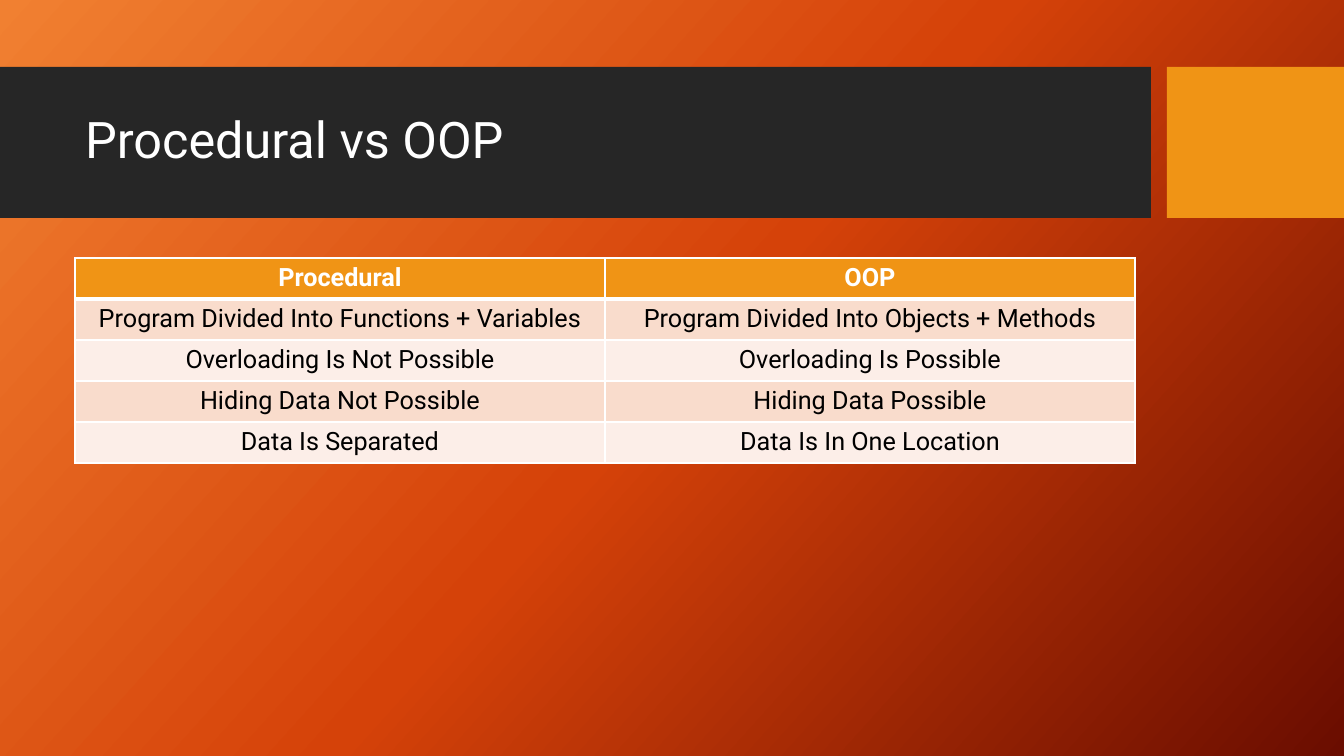
from copy import deepcopy
from typing import NamedTuple

from lxml.etree import SubElement
from pptx import Presentation
from pptx.dml.color import RGBColor
from pptx.enum.shapes import MSO_SHAPE
from pptx.enum.text import MSO_ANCHOR, PP_ALIGN
from pptx.oxml.ns import qn
from pptx.util import Pt

SCALE = 12192000 / 1344  # EMU per px
FONT = "Roboto"
HEX = {
    "white": "FFFFFF", "black": "000000", "dark": "262626", "amber": "F09415",
    "peach": "F9DCCC", "pale": "FCEEE8",
    "glow": "F18031", "flame": "D54209", "ember": "6A0D00",
}


class Bar(NamedTuple):
    left: int
    width: int
    color: str


BARS = [Bar(0, 1151, "dark"), Bar(1167, 177, "amber")]
STOPS = [(0, "glow"), (0.5, "flame"), (1, "ember")]
ROWS = [
    ("Procedural", "OOP"),
    ("Program Divided Into Functions + Variables", "Program Divided Into Objects + Methods"),
    ("Overloading Is Not Possible", "Overloading Is Possible"),
    ("Hiding Data Not Possible", "Hiding Data Possible"),
    ("Data Is Separated", "Data Is In One Location"),
]


def px(*sizes: int) -> list[int]:
    return [round(size * SCALE) for size in sizes]


def rgb(name: str) -> RGBColor:
    return RGBColor.from_string(HEX[name])


def style(para, size: int, color: str, align: PP_ALIGN, bold: bool = False) -> None:
    para.alignment = align
    for run in para.runs:
        font = run.font
        font.name, font.size, font.bold = FONT, Pt(size), bold
        font.color.rgb = rgb(color)


def draw_back(slide) -> None:
    fill = slide.background.fill
    fill.gradient()
    fill.gradient_angle = 360 - 42
    stops = slide.element.find(".//" + qn("a:gsLst"))
    stops.append(deepcopy(stops[0]))
    for stop, (pos, color) in zip(fill.gradient_stops, STOPS):
        stop.position = pos
        stop.color.rgb = rgb(color)


def draw_bar(slide, bar: Bar) -> None:
    shape = slide.shapes.add_shape(MSO_SHAPE.RECTANGLE, *px(bar.left, 67, bar.width, 151))
    shape.shadow.inherit = False
    shape.fill.solid()
    shape.fill.fore_color.rgb = rgb(bar.color)
    shape.line.fill.background()


def draw_title(slide, text: str) -> None:
    title = slide.shapes.title
    title.left, title.top, title.width, title.height = px(75, 83, 1059, 119)
    frame = title.text_frame
    frame.text = text
    frame.vertical_anchor = MSO_ANCHOR.MIDDLE
    para = frame.paragraphs[0]
    para.line_spacing = 0.9
    style(para, 36, "white", PP_ALIGN.LEFT)
    slide.shapes._spTree.append(title._element)  # in front of the bars


def add_edges(cell, row: int) -> None:
    # Borders must come before the fill in the cell properties
    props = cell._tc.get_or_add_tcPr()
    for spot, side in enumerate("LRTB"):
        thick = (row, side) in ((0, "B"), (1, "T"))
        line = SubElement(props, qn("a:ln" + side), w=str(Pt(3 if thick else 1)))
        fill = SubElement(line, qn("a:solidFill"))
        SubElement(fill, qn("a:srgbClr"), val=HEX["white"])
        props.insert(spot, line)


def draw_table(slide) -> None:
    frame = slide.shapes.add_table(len(ROWS), 2, *px(75, 258, 1060, 205))
    table = frame.table
    for r, texts in enumerate(ROWS):
        head = r == 0
        back = "amber" if head else ("pale", "peach")[r % 2]
        for c, text in enumerate(texts):
            cell = table.cell(r, c)
            cell.text_frame.text = text
            style(cell.text_frame.paragraphs[0], 18, "white" if head else "black",
                  PP_ALIGN.CENTER, head)
            cell.fill.solid()
            cell.fill.fore_color.rgb = rgb(back)
            add_edges(cell, r)


def main() -> None:
    deck = Presentation()
    deck.slide_width, deck.slide_height = px(1344, 756)
    slide = deck.slides.add_slide(deck.slide_layouts[5])
    draw_back(slide)
    # Title band
    for bar in BARS:
        draw_bar(slide, bar)
    draw_title(slide, "Procedural vs OOP")
    # Comparison
    draw_table(slide)
    deck.save("out.pptx")


if __name__ == "__main__":
    main()
